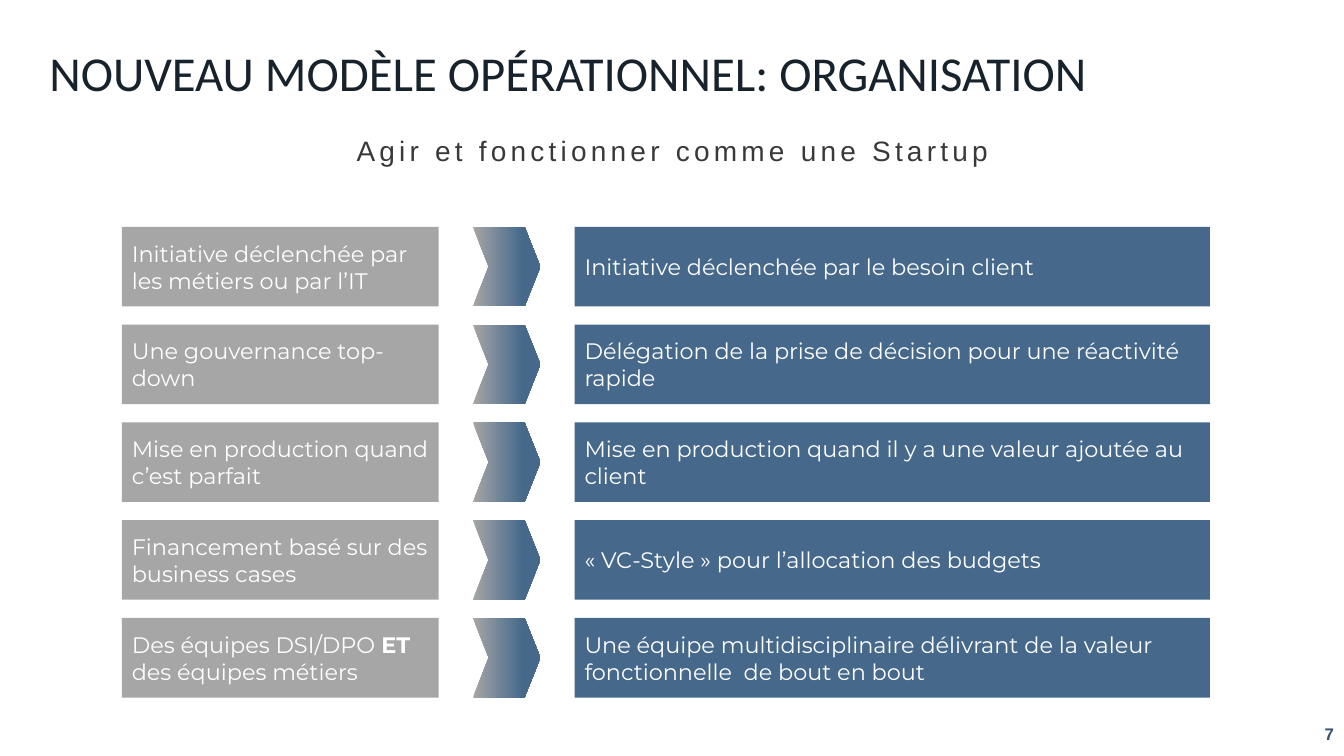
"""Build the slide comparing the former and the startup-like operating models."""
from dataclasses import dataclass

from pptx import Presentation
from pptx import util as u
from pptx.dml.color import RGBColor
from pptx.enum import shapes, text

PX = 9144


@dataclass(frozen=True)
class Theme:
    title: str = "17222C"
    subtitle: str = "3B3838"
    number: str = "36526E"
    before: str = "A6A6A6"
    after: str = "45688B"
    light: str = "FFFFFF"
    title_size: int = 60
    subtitle_size: int = 20
    row_size: int = 16
    number_size: int = 12


@dataclass(frozen=True)
class Area:
    left: int
    top: int
    width: int
    height: int

    def emu(self) -> tuple:
        return tuple(u.Emu(side * PX) for side in (self.left, self.top, self.width, self.height))


@dataclass(frozen=True)
class Change:
    before: str
    after: str


THEME = Theme()
ROW_TOP, ROW_PITCH, ROW_HEIGHT = 225, 97, 79
CHANGES = (
    Change("Initiative déclenchée par les métiers ou par l’IT",
           "Initiative déclenchée par le besoin client"),
    Change("Une gouvernance top-down",
           "Délégation de la prise de décision pour une réactivité rapide"),
    Change("Mise en production quand c’est parfait",
           "Mise en production quand il y a une valeur ajoutée au client"),
    Change("Financement basé sur des business cases",
           "« VC-Style » pour l’allocation des budgets"),
    Change("Des équipes DSI/DPO **ET** des équipes métiers",
           "Une équipe multidisciplinaire délivrant de la valeur\nfonctionnelle  de bout en bout"),
)


def style(span, font: str, size: int, color: str, bold: bool = False) -> None:
    """Format one run."""
    span.font.name = font
    span.font.size = u.Pt(size)
    span.font.bold = bold
    span.font.color.rgb = RGBColor.from_string(color)


def add_block(page, kind, area: Area):
    """Add a preset shape without outline or shadow."""
    block = page.shapes.add_shape(kind, *area.emu())
    block.shadow.inherit = False
    block.line.fill.background()
    return block


def add_panel(page, area: Area, color: str, wording: str) -> None:
    """Add a filled rectangle whose **marked** words are bold."""
    panel = add_block(page, shapes.MSO_SHAPE.RECTANGLE, area)
    panel.fill.solid()
    panel.fill.fore_color.rgb = RGBColor.from_string(color)
    frame = panel.text_frame
    frame.word_wrap = True
    frame.vertical_anchor = text.MSO_ANCHOR.MIDDLE
    for index, line in enumerate(wording.split("\n")):
        para = frame.add_paragraph() if index else frame.paragraphs[0]
        para.alignment = text.PP_ALIGN.LEFT
        for position, part in enumerate(line.split("**")):
            span = para.add_run()
            span.text = part
            style(span, "Montserrat", THEME.row_size, THEME.light, position % 2 == 1)


def add_chevron(page, area: Area) -> None:
    """Add a chevron fading from the former colour to the new one."""
    chevron = add_block(page, shapes.MSO_SHAPE.CHEVRON, area)
    chevron.adjustments[0] = 0.235
    chevron.fill.gradient()
    chevron.fill.gradient_angle = 0
    stops = ((0, THEME.before), (0.74, THEME.after))
    for stop, (position, color) in zip(chevron.fill.gradient_stops, stops):
        stop.position = position
        stop.color.rgb = RGBColor.from_string(color)


def add_title(page, wording: str) -> None:
    """Move, fill and format the title placeholder."""
    box = page.shapes.title
    box.left, box.top, box.width, box.height = Area(46, 31, 1273, 73).emu()
    frame = box.text_frame
    frame.text = wording
    frame.word_wrap = True
    frame.auto_size = text.MSO_AUTO_SIZE.SHAPE_TO_FIT_TEXT
    frame.vertical_anchor = text.MSO_ANCHOR.MIDDLE
    frame.margin_left = frame.margin_right = u.Emu(3 * PX)
    frame.margin_top = frame.margin_bottom = u.Emu(3 * PX)
    para = frame.paragraphs[0]
    para.alignment = text.PP_ALIGN.LEFT
    span = para.runs[0]
    style(span, "Calibri", THEME.title_size, THEME.title)
    span.font._element.set("baseline", "12000")


def add_label(page, area: Area, wording: str, size: int, color: str, align, bold: bool = False):
    """Add a one-line Arial text box and return its paragraph."""
    box = page.shapes.add_textbox(*area.emu())
    frame = box.text_frame
    frame.text = wording
    frame.word_wrap = True
    frame.vertical_anchor = text.MSO_ANCHOR.MIDDLE if bold else text.MSO_ANCHOR.TOP
    para = frame.paragraphs[0]
    para.alignment = align
    style(para.runs[0], "Arial", size, color, bold)
    return para


def main() -> None:
    """Build and save the deck."""
    deck = Presentation()
    deck.slide_width, deck.slide_height = u.Emu(1333 * PX), u.Emu(750 * PX)
    page = deck.slides.add_slide(deck.slide_layouts.get_by_name("Title Only"))

    add_label(page, Area(1276, 705, 57, 45), "7", THEME.number_size, THEME.number,
              text.PP_ALIGN.RIGHT, bold=True)
    add_title(page, "NOUVEAU MODÈLE OPÉRATIONNEL: ORGANISATION")
    subtitle = add_label(page, Area(167, 128, 1000, 44), "Agir et fonctionner comme une Startup",
                         THEME.subtitle_size, THEME.subtitle, text.PP_ALIGN.CENTER)
    subtitle.space_before = u.Pt(10)
    subtitle.runs[0].font._element.set("spc", "300")

    for row, change in enumerate(CHANGES):
        top = ROW_TOP + row * ROW_PITCH
        add_panel(page, Area(121, top, 314, ROW_HEIGHT), THEME.before, change.before)
        add_panel(page, Area(570, top, 630, ROW_HEIGHT), THEME.after, change.after)
        add_chevron(page, Area(469, top, 67, ROW_HEIGHT))

    deck.save("out.pptx")


if __name__ == "__main__":
    main()
